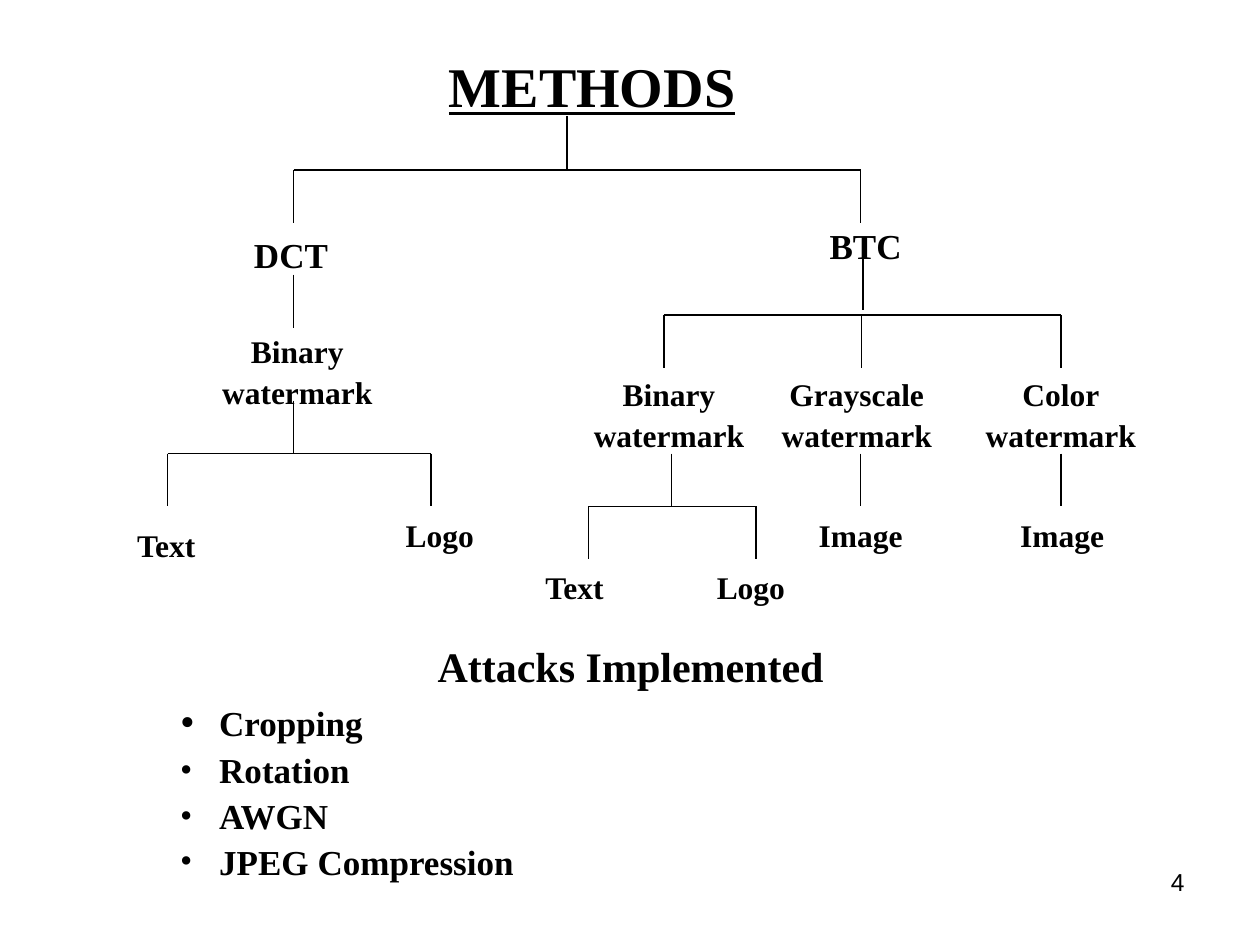
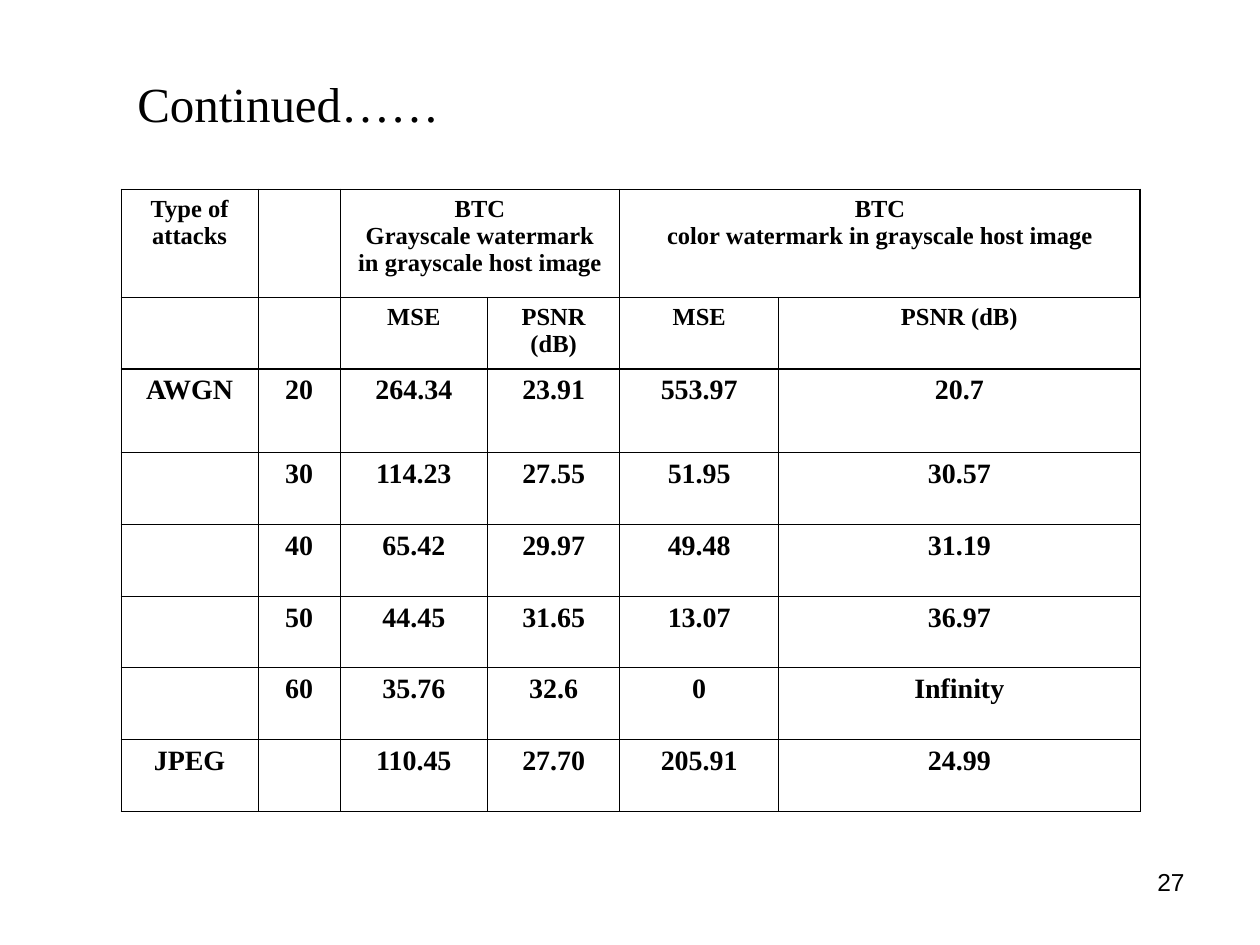
from lxml import etree
from pptx import Presentation
from pptx.dml.color import RGBColor
from pptx.enum.shapes import MSO_CONNECTOR
from pptx.enum.text import MSO_ANCHOR, MSO_AUTO_SIZE, PP_ALIGN
from pptx.oxml.ns import qn
from pptx.util import Inches, Pt

LEFT, CENTER, RIGHT = PP_ALIGN.LEFT, PP_ALIGN.CENTER, PP_ALIGN.RIGHT
TOP, MIDDLE = MSO_ANCHOR.TOP, MSO_ANCHOR.MIDDLE
STRAIGHT = MSO_CONNECTOR.STRAIGHT
NO_AUTOFIT = MSO_AUTO_SIZE.NONE

COLORS = {"ink": "000000", "paper": "FFFFFF"}
SERIF, SANS = "Times New Roman", "Arial"
INK = RGBColor.from_string(COLORS["ink"])
LOOSE = 1.09  # line spacing outside the tables


def write(frame, text, size=18, font=SERIF, bold=True, underline=False,
          align=CENTER, anchor=TOP, spacing=LOOSE):
    """Fill a text frame, one paragraph for each line of text."""
    frame.text = text
    frame.word_wrap = True
    frame.vertical_anchor = anchor
    for paragraph in frame.paragraphs:
        paragraph.alignment = align
        paragraph.line_spacing = spacing
        paragraph.space_before = Pt(0)
        paragraph.font.size = Pt(size)
        paragraph.font.name = font
        paragraph.font.bold = bold
        paragraph.font.underline = underline
        paragraph.font.color.rgb = INK


def place(shape, left, top, width, height):
    shape.left, shape.top = Inches(left), Inches(top)
    shape.width, shape.height = Inches(width), Inches(height)


prs = Presentation()
prs.slide_width, prs.slide_height = Inches(10), Inches(7.5)
methods = prs.slides.add_slide(prs.slide_layouts[1])
results = prs.slides.add_slide(prs.slide_layouts[5])

# Shared background and page number
for slide, number in ((methods, "4"), (results, "27")):
    slide.background.fill.solid()
    slide.background.fill.fore_color.rgb = RGBColor.from_string(COLORS["paper"])
    page_number = slide.shapes.add_textbox(
        Inches(7.17), Inches(6.83), Inches(2.33), Inches(0.52))
    write(page_number.text_frame, number, size=14, font=SANS, bold=False,
          align=RIGHT, spacing=1.0)

# Slide 1: title
heading = methods.shapes.title
place(heading, 0.2, 0.19, 9, 0.92)
write(heading.text_frame, "METHODS", size=32, underline=True, anchor=MIDDLE)

# Tree lines: each branch is a bar with a drop to every child
DROP = 0.42
branches = [
    (1.35, (2.33, 6.83)),
    (2.5, (5.27, 6.84, 8.42)),
    (3.6, (1.33, 3.42)),
    (4.02, (4.67, 6)),
]
stems = [(4.5, 0.92), (2.33, 2.18), (6.85, 2.04), (2.33, 3.18),
         (5.33, 3.6), (6.83, 3.6), (8.42, 3.6)]
tree_lines = [(x, y, x, y + DROP) for x, y in stems]
for bar_y, children in branches:
    tree_lines.append((children[0], bar_y, children[-1], bar_y))
    tree_lines += [(x, bar_y, x, bar_y + DROP) for x in children]
for ends in tree_lines:
    line = methods.shapes.add_connector(STRAIGHT, *map(Inches, ends))
    line.line.color.rgb = INK
    line.line.width = Pt(0.75)
    etree.SubElement(line._element.spPr, qn("a:effectLst"))

# Tree labels: text, centre, top, size
LABEL_WIDTH = 1.6
labels = [
    ("DCT", 2.31, 1.77, 20),
    ("BTC", 6.87, 1.7, 20),
    ("Binary\nwatermark", 2.36, 2.56, 18),
    ("Binary\nwatermark", 5.31, 2.9, 18),
    ("Grayscale\nwatermark", 6.8, 2.9, 18),
    ("Color\nwatermark", 8.42, 2.9, 18),
    ("Text", 1.32, 4.1, 18),
    ("Logo", 3.49, 4.02, 18),
    ("Text", 4.56, 4.43, 18),
    ("Logo", 5.96, 4.43, 18),
    ("Image", 6.83, 4.02, 18),
    ("Image", 8.43, 4.02, 18),
]
for text, center, top, size in labels:
    label = methods.shapes.add_textbox(
        Inches(center - LABEL_WIDTH / 2), Inches(top), Inches(LABEL_WIDTH),
        Inches(0.7 if "\n" in text else 0.42))
    write(label.text_frame, text, size=size)

# Attack list
attacks = methods.placeholders[1]
place(attacks, 1.33, 5, 7.35, 2.24)
write(attacks.text_frame,
      "Attacks Implemented\nCropping\nRotation\nAWGN\nJPEG Compression",
      size=20, align=LEFT)
attacks.text_frame.auto_size = NO_AUTOFIT
attacks_heading, *attack_items = attacks.text_frame.paragraphs
attacks_heading.alignment = CENTER
attacks_heading.font.size = Pt(24)
heading_format = attacks_heading._p.get_or_add_pPr()
heading_format.set("marL", "0")
heading_format.set("indent", "0")
heading_format.insert_element_before(
    heading_format.makeelement(qn("a:buNone")), "a:tabLst", "a:defRPr")
for item, gap, bullet_size in zip(attack_items, (3.5, 1, 0, 0), (120, 100, 100, 100)):
    item.space_before = Pt(gap)
    item_format = item._p.get_or_add_pPr()
    item_format.set("marL", str(Inches(0.31)))
    item_format.set("indent", str(-Inches(0.31)))
    for tag, key, value in (("a:buSzPct", "val", str(bullet_size * 1000)),
                            ("a:buFont", "typeface", SERIF),
                            ("a:buChar", "char", "•")):
        item_format.insert_element_before(
            item_format.makeelement(qn(tag), {key: value}), "a:tabLst", "a:defRPr")

# Slide 2: title
continued = results.shapes.title
place(continued, 0.99, 0.49, 4, 0.57)
write(continued.text_frame, "Continued……", size=28, bold=False, align=LEFT)

# Header and value tables share their columns
column_widths = [1.09, 0.65, 1.17, 1.05, 1.26, 2.87]
header_rows = [
    ["Type of attacks", "", "BTC\nGrayscale watermark in grayscale host image", "",
     "BTC\ncolor watermark in grayscale host image", ""],
    ["", "", "MSE", "PSNR (dB)", "MSE", "PSNR (dB)"],
]
value_rows = [
    ["AWGN", "20", "264.34", "23.91", "553.97", "20.7"],
    ["", "30", "114.23", "27.55", "51.95", "30.57"],
    ["", "40", "65.42", "29.97", "49.48", "31.19"],
    ["", "50", "44.45", "31.65", "13.07", "36.97"],
    ["", "60", "35.76", "32.6", "0", "Infinity"],
    ["JPEG", "", "110.45", "27.70", "205.91", "24.99"],
]
for rows, top, first_height, size in ((header_rows, 1.5, 0.86, 14),
                                      (value_rows, 2.92, 0.67, 16)):
    heights = [first_height] + [0.57] * (len(rows) - 1)
    grid = results.shapes.add_table(
        len(rows), len(column_widths), Inches(0.96), Inches(top),
        Inches(sum(column_widths)), Inches(sum(heights))).table
    grid.first_row = grid.horz_banding = False
    for column, width in zip(grid.columns, column_widths):
        column.width = Inches(width)
    for row, height in zip(grid.rows, heights):
        row.height = Inches(height)
    if rows is header_rows:
        for first in (2, 4):
            grid.cell(0, first).merge(grid.cell(0, first + 1))
    for r, texts in enumerate(rows):
        for c, text in enumerate(texts):
            cell = grid.cell(r, c)
            cell.fill.background()
            if text:
                write(cell.text_frame, text, size=size, spacing=1.0)
            cell_format = cell._tc.get_or_add_tcPr()
            for position, side in enumerate("LRTB"):
                thick = rows is header_rows and r == 0 and c >= 4 and side == "R"
                border = cell_format.makeelement(
                    qn("a:ln" + side), {"w": str(Pt(1.08 if thick else 0.45))})
                fill = etree.SubElement(border, qn("a:solidFill"))
                etree.SubElement(fill, qn("a:srgbClr"), val=COLORS["ink"])
                cell_format.insert(position, border)

prs.save("out.pptx")
